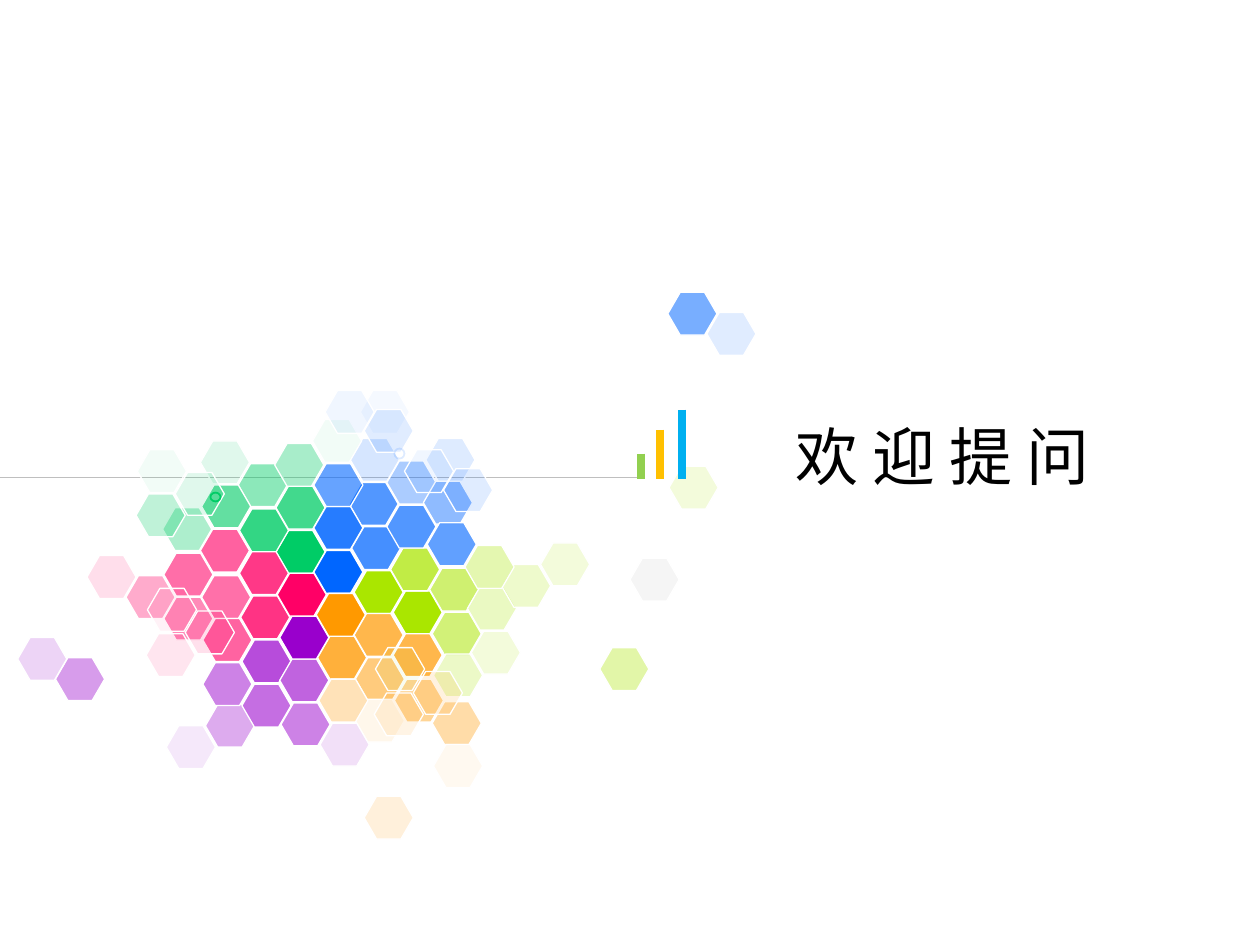
from typing import NamedTuple, Optional

from lxml import etree
from pptx import Presentation
from pptx.dml.color import RGBColor
from pptx.enum import shapes, text
from pptx.oxml.ns import qn
from pptx.util import Inches, Pt

FONT = "Noto Sans CJK SC"
BLACK = RGBColor(0x00, 0x00, 0x00)
WHITE = RGBColor(0xFF, 0xFF, 0xFF)
GREY = RGBColor(0xBF, 0xBF, 0xBF)
BLUE = RGBColor(0x00, 0x66, 0xFF)
GREEN = RGBColor(0x00, 0xCC, 0x66)
LIME = RGBColor(0xAA, 0xE6, 0x00)
OLIVE = RGBColor(0x99, 0xCC, 0x00)
ORANGE = RGBColor(0xFF, 0x99, 0x00)
PINK = RGBColor(0xFF, 0x00, 0x66)
PURPLE = RGBColor(0x99, 0x00, 0xCC)
BAR_BLUE = RGBColor(0x00, 0xB0, 0xF0)
BAR_AMBER = RGBColor(0xFF, 0xC0, 0x00)
BAR_GREEN = RGBColor(0x92, 0xD0, 0x50)

HEX_W, HEX_H = 0.39, 0.34


class Hexagon(NamedTuple):
    x: float
    y: float
    color: RGBColor
    opacity: int = 100  # percent


class Line(NamedTuple):
    x1: float
    y1: float
    x2: float
    y2: float
    color: RGBColor
    width: float


class Ring(NamedTuple):
    x: float
    y: float
    w: float
    h: float
    color: RGBColor
    opacity: int = 100


# From back to front
HEXAGONS = [Hexagon(*h) for h in (
    (5.31, 3.7, LIME, 14), (5.61, 2.48, BLUE, 12), (5.3, 2.32, BLUE, 53),
    (0.44, 5.22, PURPLE, 39), (0.14, 5.06, PURPLE, 17), (2.89, 6.32, ORANGE, 14),
    (2.78, 3.48, BLUE, 16), (1.29, 4.03, GREEN, 32), (2.49, 4.37, BLUE),
    (2.52, 5.05, ORANGE, 77), (1.92, 5.08, PURPLE, 70), (2.19, 4.21, GREEN),
    (2.19, 3.86, GREEN, 74), (1.89, 3.68, GREEN, 45), (2.22, 5.23, PURPLE, 61),
    (1.9, 4.04, GREEN, 80), (2.81, 4.53, LIME), (3.13, 5.39, ORANGE, 41),
    (2.77, 3.83, BLUE, 68), (3.07, 3.66, BLUE, 33), (1.6, 4.57, PINK, 56),
    (1.91, 4.73, PINK, 80), (1.3, 4.74, PINK, 46), (2.81, 4.87, ORANGE, 70),
    (3.41, 4.51, LIME, 56), (3.38, 3.48, BLUE, 13), (2.22, 4.89, PURPLE),
    (2.2, 4.55, PINK), (2.51, 4.71, ORANGE), (3.12, 4.69, LIME),
    (2.79, 4.18, BLUE, 73), (2.49, 4.02, BLUE, 85), (2.82, 5.22, ORANGE, 51),
    (1.9, 4.38, PINK, 78), (1.3, 4.39, PINK, 57), (1, 4.57, PINK, 33),
    (3.71, 4.66, LIME, 24), (3.98, 4.48, LIME, 20), (3.1, 4.35, LIME, 73),
    (1.59, 3.5, GREEN, 12), (3.07, 4.01, BLUE, 68), (2.82, 5.55, ORANGE, 8),
    (3.43, 5.57, ORANGE, 34), (2.49, 3.68, BLUE, 60), (3.36, 3.82, BLUE, 44),
    (3.43, 4.86, LIME, 53), (2.48, 3.33, GREEN, 5), (3.44, 5.91, ORANGE, 6),
    (2.18, 3.52, GREEN, 34), (2.86, 3.1, BLUE, 4), (4.29, 4.31, LIME, 14),
    (3.12, 5.03, ORANGE, 70), (1.63, 5.59, PURPLE, 33), (1.61, 4.91, PINK, 61),
    (3.74, 5.01, LIME, 14), (0.69, 4.41, PINK, 13), (3.69, 4.33, LIME, 31),
    (2.53, 5.39, ORANGE, 28), (1.61, 5.26, PURPLE, 49), (1.32, 5.76, PURPLE, 9),
    (2.23, 5.58, PURPLE, 49), (1.6, 3.85, GREEN, 61), (1.59, 4.2, PINK, 62),
    (3.39, 4.15, BLUE, 62), (1.92, 5.43, PURPLE, 57), (3.44, 5.19, LIME, 22),
    (2.54, 5.74, PURPLE, 12), (1.39, 3.75, GREEN, 12), (1.08, 3.92, GREEN, 25),
    (1.09, 3.57, GREEN, 5), (2.89, 3.25, BLUE, 12), (2.58, 3.1, BLUE, 6),
    (3.52, 3.72, BLUE, 12), (3.21, 3.57, BLUE, 6), (3.28, 5.33, ORANGE, 12),
    (2.97, 5.5, ORANGE, 10), (2.98, 5.14, OLIVE, 5), (1.47, 4.85, PINK, 12),
    (1.16, 5.03, PINK, 10), (1.17, 4.67, PINK, 5), (5, 4.43, GREY, 14),
    (4.76, 5.14, LIME, 34),
)]
RINGS = [Ring(3.13, 3.56, 0.08, 0.08, BLUE, 12), Ring(1.67, 3.91, 0.08, 0.07, GREEN)]
BASELINE = Line(-0.12, 3.79, 5.09, 3.79, GREY, 0.75)
BARS = [Line(x, top, x, 3.8, color, 4.5) for x, top, color in (
    (5.41, 3.25, BAR_BLUE), (5.24, 3.41, BAR_AMBER), (5.09, 3.6, BAR_GREEN))]


def set_opacity(parent, percent: int) -> None:
    """Make the solid fill found under parent partly transparent."""
    if percent < 100:
        color = parent.find(qn("a:solidFill")).find(qn("a:srgbClr"))
        etree.SubElement(color, qn("a:alpha")).set("val", str(percent * 1000))


def add_outlined(slide, kind, x: float, y: float, w: float, h: float,
                 line: RGBColor, width: float, fill: Optional[RGBColor] = None):
    sp = slide.shapes.add_shape(kind, Inches(x), Inches(y), Inches(w), Inches(h))
    sp.shadow.inherit = False
    if fill is None:
        sp.fill.background()
    else:
        sp.fill.solid()
        sp.fill.fore_color.rgb = fill
    sp.line.color.rgb = line
    sp.line.width = Pt(width)
    return sp


def draw_hexagon(slide, h: Hexagon) -> None:
    sp = add_outlined(slide, shapes.MSO_SHAPE.HEXAGON, h.x, h.y, HEX_W, HEX_H,
                      WHITE, 0.75, h.color)
    sp.adjustments[0] = 0.29
    set_opacity(sp.element.spPr, h.opacity)


def draw_ring(slide, r: Ring) -> None:
    sp = add_outlined(slide, shapes.MSO_SHAPE.OVAL, r.x, r.y, r.w, r.h, r.color, 1)
    set_opacity(sp.element.spPr.find(qn("a:ln")), r.opacity)


def draw_line(slide, ln: Line) -> None:
    c = slide.shapes.add_connector(shapes.MSO_CONNECTOR.STRAIGHT, Inches(ln.x1),
                                   Inches(ln.y1), Inches(ln.x2), Inches(ln.y2))
    c.line.color.rgb = ln.color
    c.line.width = Pt(ln.width)
    etree.SubElement(c.element.spPr, qn("a:effectLst"))


def set_title(slide, wording: str) -> None:
    sp = slide.shapes.title
    sp.left, sp.top, sp.width, sp.height = map(Inches, (5.47, 2.96, 4.02, 0.9))
    tf = sp.text_frame
    tf.word_wrap = True
    tf.auto_size = text.MSO_AUTO_SIZE.SHAPE_TO_FIT_TEXT
    tf.vertical_anchor = text.MSO_ANCHOR.TOP
    p = tf.paragraphs[0]
    p.alignment = text.PP_ALIGN.CENTER
    p.line_spacing = 1.5
    r = p.add_run()
    r.text = wording
    r.font.name = FONT
    r.font.size = Pt(36)
    r.font.color.rgb = BLACK
    # East Asian typeface
    etree.SubElement(r.font._element, qn("a:ea")).set("typeface", FONT)


def main() -> None:
    prs = Presentation()
    prs.slide_width, prs.slide_height = Inches(10), Inches(7.5)
    slide = prs.slides.add_slide(prs.slide_layouts[5])

    set_title(slide, "欢 迎 提 问")

    # Honeycomb on its baseline
    draw_line(slide, BASELINE)
    for h in HEXAGONS:
        draw_hexagon(slide, h)
    for r in RINGS:
        draw_ring(slide, r)

    # Three rising bars
    for bar in BARS:
        draw_line(slide, bar)

    prs.save("out.pptx")


if __name__ == "__main__":
    main()
